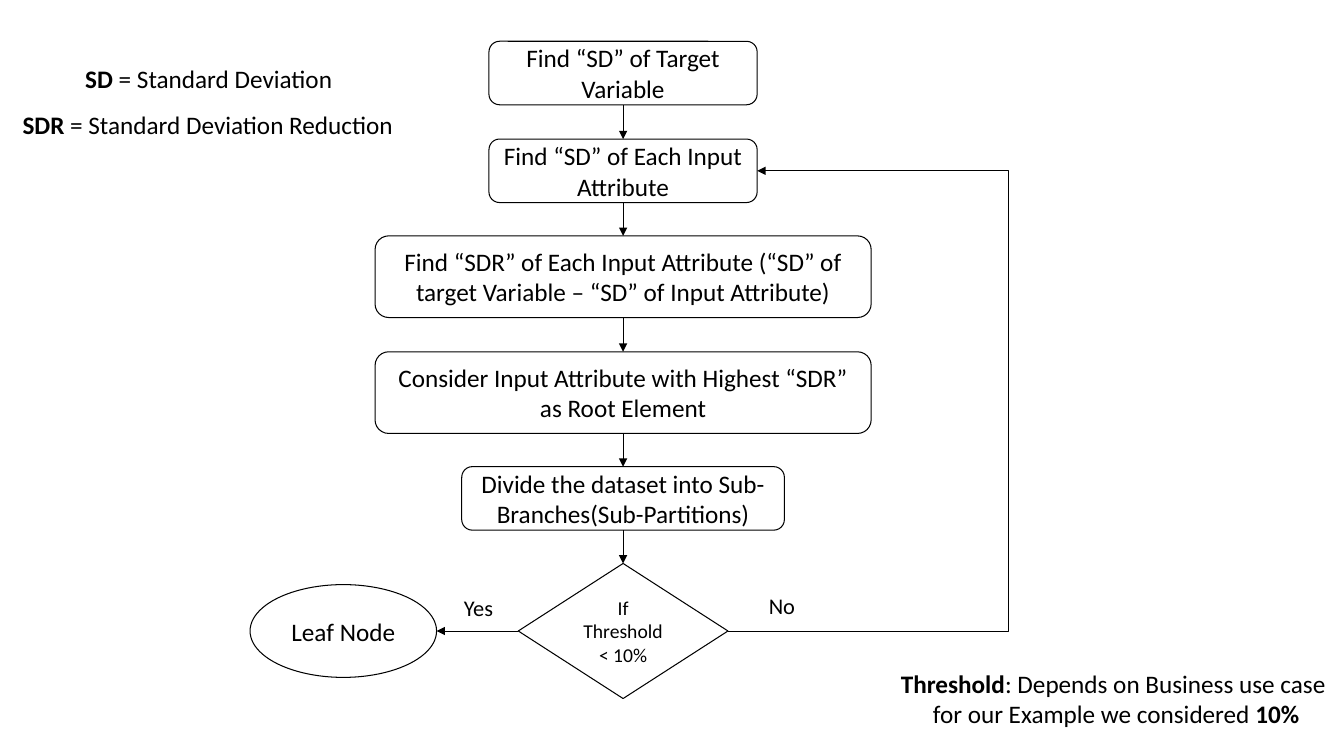
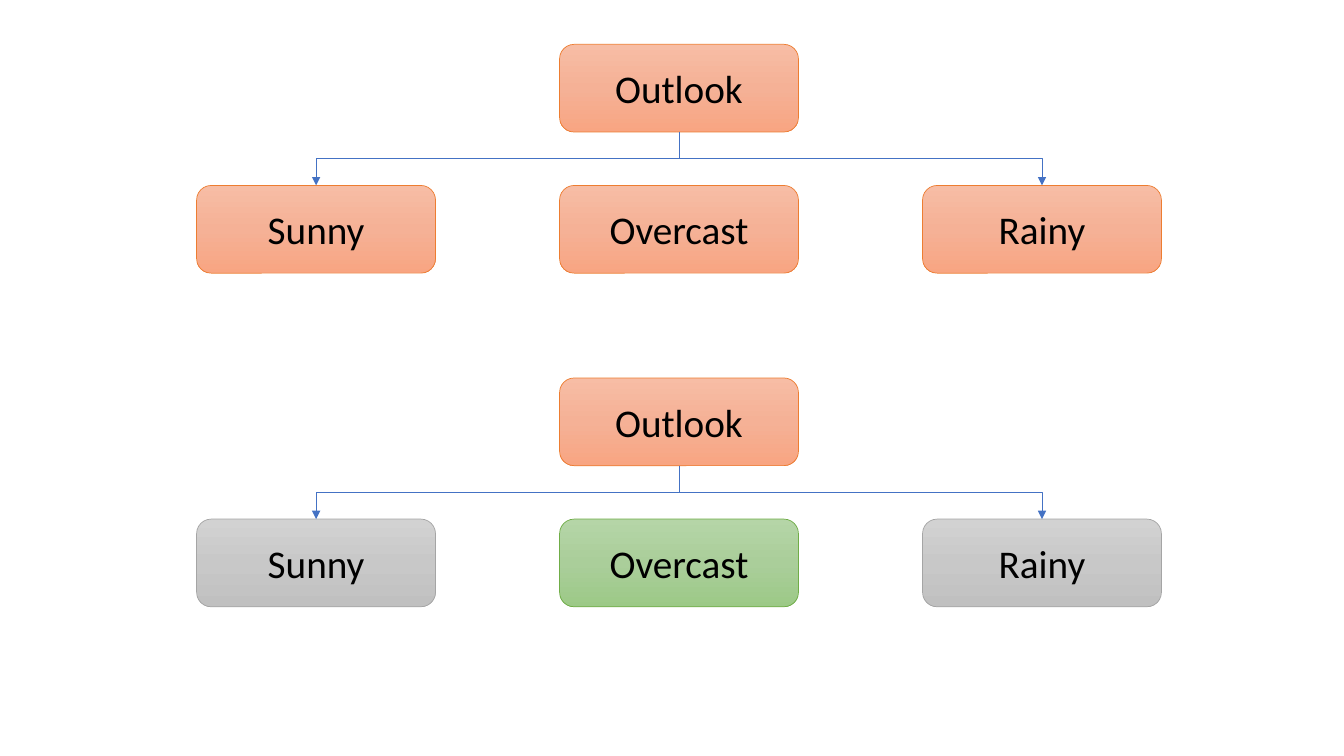
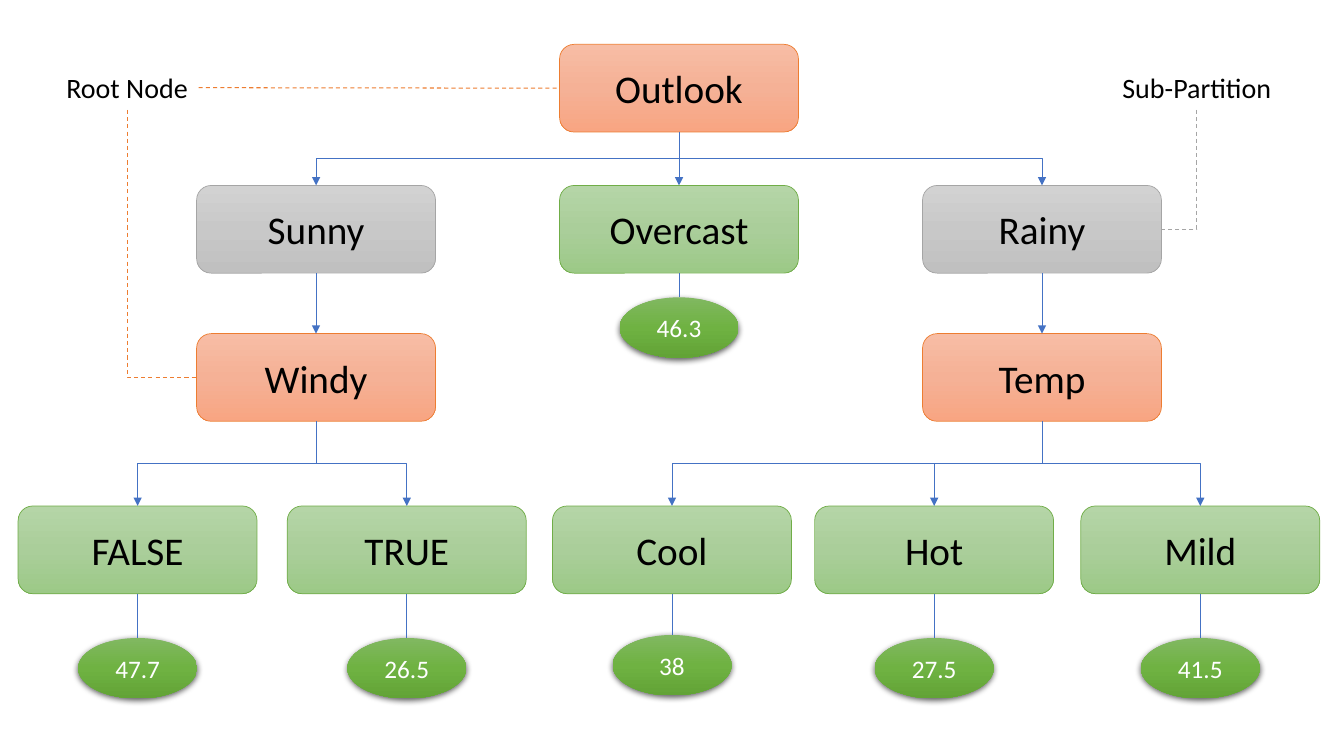
from copy import deepcopy

from lxml import etree
from pptx import Presentation
from pptx import util as u
from pptx.dml.color import RGBColor
from pptx.enum import dml, shapes, text
from pptx.oxml.ns import qn

COLOURS = {
    "black": "000000", "white": "FFFFFF", "blue": "4472C4",
    "orange": "ED7D31", "orange_top": "F7BDA5", "orange_mid": "F5B196", "orange_low": "F8A582",
    "grey": "A5A5A5", "grey_top": "D2D2D2", "grey_mid": "C8C8C8", "grey_low": "C0C0C0",
    "green": "70AD47", "green_top": "B5D5A7", "green_mid": "AACE9A", "green_low": "9CC987",
    "leaf_top": "81B861", "leaf_mid": "6FB242", "leaf_low": "62A336",
}
FONT = "Calibri"
TOP, LEFT, BOTTOM, RIGHT = range(4)
ROUNDED = shapes.MSO_SHAPE.ROUNDED_RECTANGLE
OVAL = shapes.MSO_SHAPE.OVAL
NODE_WIDTH, NODE_HEIGHT = 2.37, 0.87
LEAF_WIDTH, LEAF_HEIGHT = 1.18, 0.6


def rgb(name):
    return RGBColor.from_string(COLOURS[name])


def add_xml(parent, tag, **attributes):
    return etree.SubElement(parent, qn(tag), {key: str(value) for key, value in attributes.items()})


def write(frame, content, size=18, colour="black"):
    """Write one centred paragraph per line; parts between asterisks are bold."""
    for index, line in enumerate(content.split("\n")):
        paragraph = frame.paragraphs[0] if index == 0 else frame.add_paragraph()
        paragraph.alignment = text.PP_ALIGN.CENTER
        for part_index, part in enumerate(line.split("*")):
            if part:
                run = paragraph.add_run()
                run.text = part
                run.font.name = FONT
                run.font.size = u.Pt(size)
                run.font.bold = part_index % 2 == 1
                run.font.color.rgb = rgb(colour)


def side_point(shape, side):
    """Give the middle of one side of a shape."""
    x = {LEFT: shape.left, RIGHT: shape.left + shape.width}.get(side, shape.left + shape.width // 2)
    y = {TOP: shape.top, BOTTOM: shape.top + shape.height}.get(side, shape.top + shape.height // 2)
    return x, y


class Deck:
    def __init__(self):
        self.presentation = Presentation()
        self.presentation.slide_width = u.Inches(13.33)
        self.presentation.slide_height = u.Inches(7.5)
        self.slide = None

    def new_slide(self):
        self.slide = self.presentation.slides.add_slide(self.presentation.slide_layouts[6])

    def label(self, content, left, top, width, height, size=18):
        box = self.slide.shapes.add_textbox(*map(u.Inches, (left, top, width, height)))
        box.text_frame.word_wrap = False
        box.text_frame.auto_size = text.MSO_AUTO_SIZE.SHAPE_TO_FIT_TEXT
        write(box.text_frame, content, size)
        return box

    def shape(self, kind, content, left, top, width, height, size=18, colour="black"):
        shape = self.slide.shapes.add_shape(kind, *map(u.Inches, (left, top, width, height)))
        shape.shadow.inherit = False
        shape.text_frame.word_wrap = True
        shape.text_frame.vertical_anchor = text.MSO_ANCHOR.MIDDLE
        write(shape.text_frame, content, size, colour)
        return shape

    def step(self, kind, content, left, top, width, height, size=18):
        """Add an outlined step of the flow chart."""
        step = self.shape(kind, content, left, top, width, height, size)
        step.fill.background()
        self.outline(step, "black", 0.75)
        return step

    def node(self, content, left, top, tone):
        node = self.shape(ROUNDED, content, left, top, NODE_WIDTH, NODE_HEIGHT, 28)
        self.shade(node, tone)
        self.outline(node, tone, 0.5)
        return node

    def leaf(self, content, node, top):
        """Add a result below a node and join the two."""
        left = node.left.inches + (NODE_WIDTH - LEAF_WIDTH) / 2
        leaf = self.shape(OVAL, content, left, top, LEAF_WIDTH, LEAF_HEIGHT, colour="white")
        self.shade(leaf, "leaf")
        leaf.line.fill.background()
        effects = leaf.element.spPr.find(qn("a:effectLst"))
        shadow = add_xml(effects, "a:outerShdw", blurRad=u.Pt(4.5), dist=u.Pt(1.5),
                         dir=5400000, algn="ctr", rotWithShape=0)
        shadow_colour = add_xml(shadow, "a:srgbClr", val=COLOURS["black"])
        add_xml(shadow_colour, "a:alpha", val=63000)
        self.link(node, BOTTOM, leaf, TOP, arrow=False)

    def outline(self, item, colour, width):
        item.line.color.rgb = rgb(colour)
        item.line.width = u.Pt(width)

    def shade(self, shape, tone):
        shape.fill.gradient()
        shape.fill.gradient_angle = 270
        first_stop = next(shape.element.spPr.iter(qn("a:gs")))
        first_stop.addnext(deepcopy(first_stop))
        for stop, position, part in zip(shape.fill.gradient_stops, (0, 0.5, 1), ("top", "mid", "low")):
            stop.position = position
            stop.color.rgb = rgb(f"{tone}_{part}")

    def link(self, start, start_side, end, end_side, colour="blue", width=0.5,
             arrow=True, dashed=False, glue_end=True, turn_x=None):
        """Join two sides, bending where they are not in line; turn_x places an outer bend."""
        x1, y1 = side_point(start, start_side)
        x2, y2 = side_point(end, end_side)
        bent = min(abs(x2 - x1), abs(y2 - y1)) > u.Inches(0.02)
        kind = shapes.MSO_CONNECTOR.ELBOW if bent else shapes.MSO_CONNECTOR.STRAIGHT
        link = self.slide.shapes.add_connector(kind, x1, y1, x2, y2)
        link.begin_connect(start, start_side)
        if glue_end:
            link.end_connect(end, end_side)
        if bent:
            self.bend(link, (x1, y1), (x2, y2), start_side, end_side, turn_x)
        self.outline(link, colour, width)
        if dashed:
            link.line.dash_style = dml.MSO_LINE.DASH
        if arrow:
            add_xml(link.line._get_or_add_ln(), "a:tailEnd", type="triangle")
        add_xml(link.element.spPr, "a:effectLst")

    def bend(self, link, begin, finish, start_side, end_side, turn_x):
        (x1, y1), (x2, y2) = begin, finish
        geometry = link.element.spPr.find(qn("a:prstGeom"))
        if start_side % 2 != end_side % 2:
            geometry.set("prst", "bentConnector2")
        if start_side in (TOP, BOTTOM):
            across, down = abs(x2 - x1), abs(y2 - y1)
            link.left, link.top = (x1 + x2 - down) // 2, (y1 + y2 - across) // 2
            link.width, link.height = down, across
            link.rotation = 270 if x2 > x1 else 90
            link.element.flipH = x2 > x1
            link.element.flipV = False
        if turn_x is not None:
            ratio = (u.Inches(turn_x) - x1) / (x2 - x1)
            guides = geometry.find(qn("a:avLst"))
            if guides is None:
                guides = add_xml(geometry, "a:avLst")
            add_xml(guides, "a:gd", name="adj1", fmla=f"val {round(ratio * 100000)}")

    def outlook_tree(self, top, tones):
        """Add Outlook and its three branches; return all four nodes."""
        outlook = self.node("Outlook", 5.55, top, "orange")
        names = ("Sunny", "Overcast", "Rainy")
        branches = [self.node(name, 1.95 + 3.6 * column, top + 1.4, tone)
                    for column, (name, tone) in enumerate(zip(names, tones))]
        for branch in (branches[0], branches[2]):
            self.link(outlook, BOTTOM, branch, TOP)
        return outlook, *branches


def flow_slide(deck):
    deck.new_slide()
    centre = 6.18
    steps = [
        deck.step(ROUNDED, content, centre - width / 2, top, width, height)
        for content, top, width, height in (
            ("Find “SD” of Target Variable", 0.41, 2.66, 0.63),
            ("Find “SD” of Each Input Attribute", 1.38, 2.66, 0.63),
            ("Find “SDR” of Each Input Attribute (“SD” of target Variable – “SD” of Input Attribute)",
             2.34, 4.92, 0.81),
            ("Consider Input Attribute with Highest “SDR” as Root Element", 3.49, 4.92, 0.81),
            ("Divide the dataset into Sub-Branches(Sub-Partitions)", 4.63, 3.2, 0.63),
        )
    ]
    decision = deck.step(shapes.MSO_SHAPE.FLOWCHART_DECISION, "If Threshold < 10%",
                         centre - 1.04, 5.59, 2.08, 1.34, size=14)
    leaf_node = deck.step(OVAL, "Leaf Node", 2.48, 5.8, 1.85, 0.92)
    for upper, lower in zip(steps, steps[1:] + [decision]):
        deck.link(upper, BOTTOM, lower, TOP, colour="black")
    deck.link(decision, LEFT, leaf_node, RIGHT, colour="black", glue_end=False)
    deck.link(decision, RIGHT, steps[1], RIGHT, colour="black", turn_x=10)

    deck.label("*SD* = Standard Deviation", 0.73, 0.58, 2.68, 0.4)
    deck.label("*SDR* = Standard Deviation Reduction", 0.1, 1.04, 3.92, 0.4)
    deck.label("*Threshold*: Depends on Business use case \nfor our Example we considered* 10%*",
               8.81, 6.58, 4.52, 0.71)
    deck.label("Yes", 4.5, 5.85, 0.49, 0.37, size=16)
    deck.label("No", 7.52, 5.83, 0.47, 0.37, size=16)


def split_slide(deck):
    deck.new_slide()
    deck.outlook_tree(0.44, ("orange", "orange", "orange"))
    deck.outlook_tree(3.75, ("grey", "green", "grey"))


def tree_slide(deck):
    deck.new_slide()
    outlook, sunny, overcast, rainy = deck.outlook_tree(0.44, ("grey", "green", "grey"))
    deck.link(outlook, BOTTOM, overcast, TOP)
    deck.leaf("46.3", overcast, 2.95)

    windy = deck.node("Windy", sunny.left.inches, 3.31, "orange")
    temp = deck.node("Temp", rainy.left.inches, 3.31, "orange")
    deck.link(sunny, BOTTOM, windy, TOP)
    deck.link(rainy, BOTTOM, temp, TOP)
    for parent, name, left, value in (
        (windy, "FALSE", 0.18, "47.7"),
        (windy, "TRUE", 2.85, "26.5"),
        (temp, "Cool", 5.48, "38"),
        (temp, "Hot", 8.08, "27.5"),
        (temp, "Mild", 10.72, "41.5"),
    ):
        outcome = deck.node(name, left, 5.02, "green")
        deck.link(parent, BOTTOM, outcome, TOP)
        deck.leaf(value, outcome, 6.3 if name == "Cool" else 6.33)

    root_label = deck.label("Root Node", 0.55, 0.65, 1.42, 0.44, size=20)
    partition_label = deck.label("Sub-Partition", 11.02, 0.65, 1.7, 0.44, size=20)
    for label, label_side, node, node_side, colour in (
        (root_label, RIGHT, outlook, LEFT, "orange"),
        (root_label, BOTTOM, windy, LEFT, "orange"),
        (partition_label, BOTTOM, rainy, RIGHT, "grey"),
    ):
        deck.link(label, label_side, node, node_side, colour, 0.75, arrow=False, dashed=True)


def main():
    deck = Deck()
    flow_slide(deck)
    split_slide(deck)
    tree_slide(deck)
    deck.presentation.save("out.pptx")


if __name__ == "__main__":
    main()
